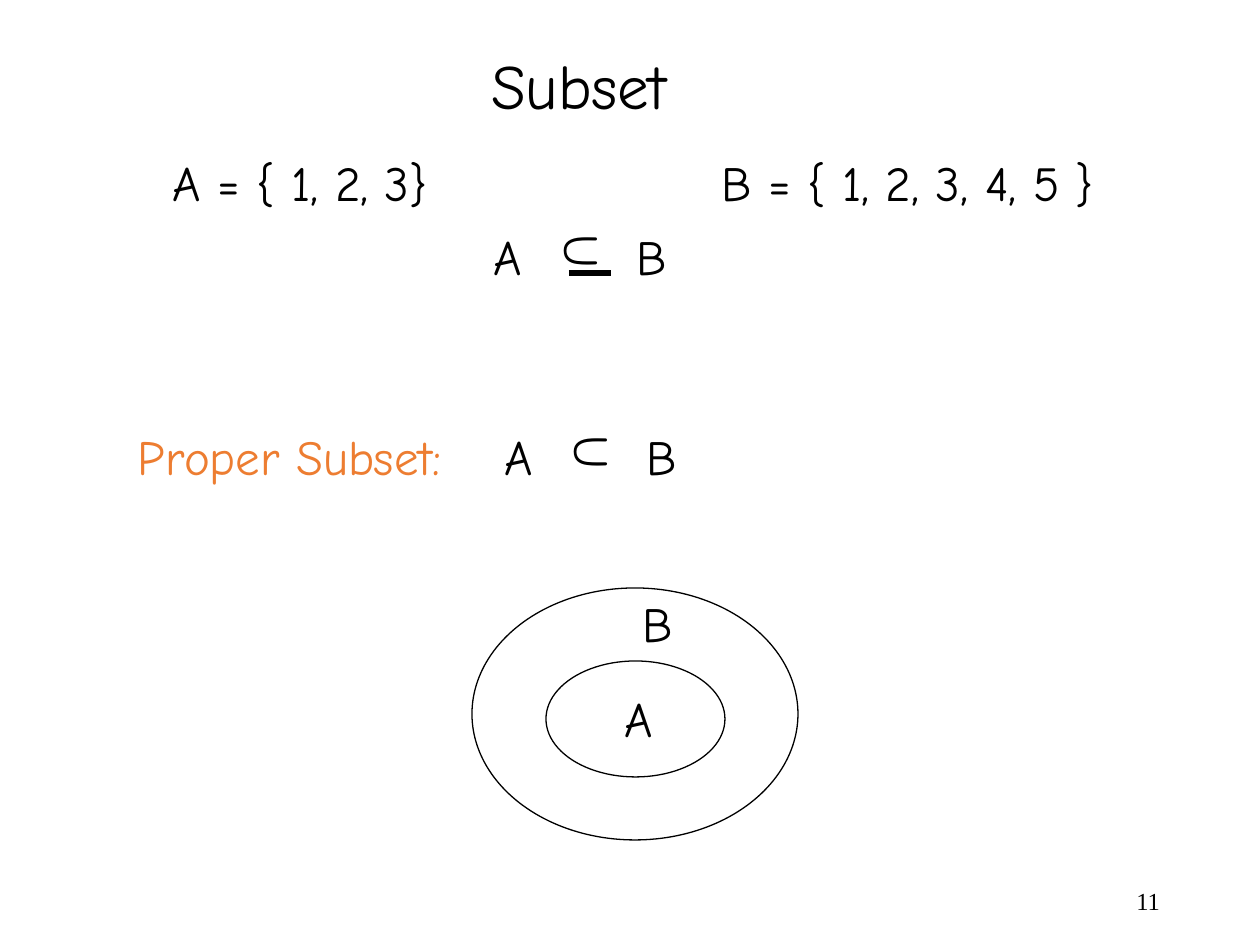
from dataclasses import dataclass

from lxml import etree
from pptx import Presentation
from pptx.dml.color import RGBColor
from pptx.enum.shapes import MSO_CONNECTOR as Connector, MSO_SHAPE as Shape
from pptx.enum.text import MSO_ANCHOR as Anchor, MSO_AUTO_SIZE as AutoSize, PP_ALIGN as Align
from pptx.oxml.ns import qn
from pptx.util import Pt


@dataclass(frozen=True)
class Theme:
    ink: RGBColor = RGBColor(0x00, 0x00, 0x00)
    accent: RGBColor = RGBColor(0xED, 0x7D, 0x31)
    font: str = "Comic Neue"
    number_font: str = "Times New Roman"
    title_size: int = 36
    body_size: int = 28
    number_size: int = 14


theme = Theme()


def px(value):
    return round(value * 914400 / 126)


def write(shape, box, text, size=theme.body_size, font=theme.font, color=theme.ink,
          align=Align.LEFT, anchor=Anchor.TOP, insets=(13, 0), tab=None):
    """Place a text shape and format its single paragraph."""
    shape.left, shape.top, shape.width, shape.height = map(px, box)
    frame = shape.text_frame
    frame.text = text
    frame.word_wrap = True
    frame.auto_size = AutoSize.NONE
    frame.vertical_anchor = anchor
    frame.margin_left, frame.margin_right = map(px, insets)
    frame.margin_top = frame.margin_bottom = px(6)
    paragraph = frame.paragraphs[0]
    paragraph.alignment = align
    if tab:
        tab_list = etree.SubElement(paragraph._p.get_or_add_pPr(), qn("a:tabLst"))
        etree.SubElement(tab_list, qn("a:tab"), pos=str(px(tab)), algn="l")
    for run in paragraph.runs:
        run.font.size = Pt(size)
        run.font.name = font
        run.font.color.rgb = color


presentation = Presentation()
presentation.slide_width, presentation.slide_height = px(1260), px(945)
slide = presentation.slides.add_slide(presentation.slide_layouts[5])
shapes = slide.shapes

# Title and slide number
write(shapes.title, (478, 40, 202, 88), "Subset", theme.title_size,
      align=Align.CENTER, anchor=Anchor.MIDDLE, insets=(0, 0))
write(shapes.add_textbox(0, 0, 0, 0), (890, 876, 283, 50), "11", theme.number_size,
      theme.number_font, align=Align.RIGHT, anchor=Anchor.MIDDLE, insets=(13, 13))

# The two sets
write(shapes.add_textbox(0, 0, 0, 0), (160, 147, 946, 72),
      "A = { 1, 2, 3}\tB = { 1, 2, 3, 4, 5 }", tab=549)

# Subset relations: the sign is a U turned on its side, underlined when equality is allowed
write(shapes.add_textbox(0, 0, 0, 0), (125, 420, 330, 72), "Proper Subset:", color=theme.accent)
for left, top, sign_top, underlined in ((481, 220, 215, True), (491, 420, 416, False)):
    group = shapes.add_group_shape()
    write(group.shapes.add_textbox(0, 0, 0, 0), (left, top, 198, 72), "A\tB", tab=142)
    sign = group.shapes.add_textbox(0, 0, 0, 0)
    write(sign, (left + 73, sign_top, 59, 72), "U")
    sign.rotation = 90
    if underlined:
        bar = group.shapes.add_connector(
            Connector.STRAIGHT, px(left + 88), px(top + 53), px(left + 130), px(top + 53))
        bar.line.color.rgb = theme.ink
        bar.line.width = Pt(3)
        etree.SubElement(bar._element.spPr, qn("a:effectLst"))

# Venn diagram: A inside B
for box in ((546, 661, 179, 116), (472, 588, 326, 252)):
    ellipse = shapes.add_shape(Shape.OVAL, *map(px, box))
    ellipse.shadow.inherit = False
    ellipse.fill.background()
    ellipse.line.color.rgb = theme.ink
    ellipse.line.width = Pt(0.75)
for name, box in (("A", (612, 683, 53, 72)), ("B", (629, 587, 55, 72))):
    write(shapes.add_textbox(0, 0, 0, 0), box, name)

presentation.save("out.pptx")
